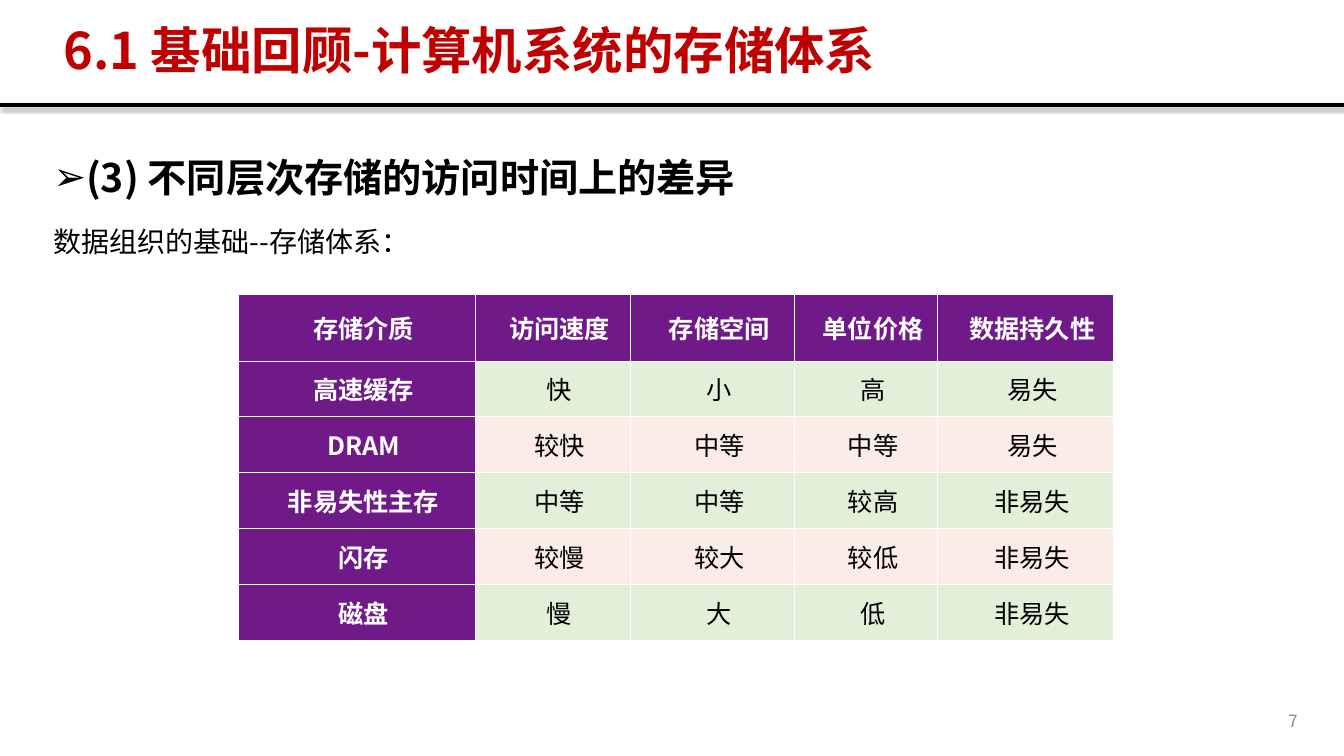
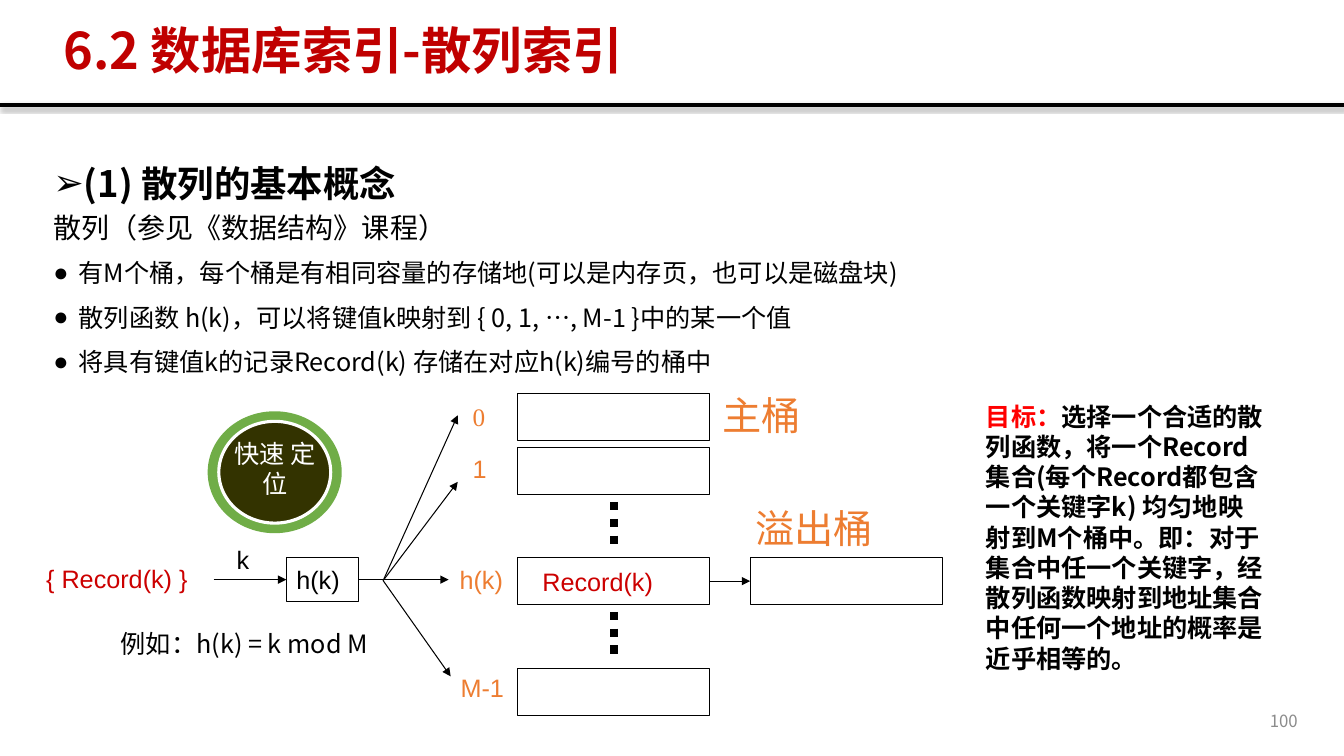
from dataclasses import dataclass

from pptx import Presentation
from pptx import util as u
from pptx.dml.color import RGBColor
from pptx.enum import dml, shapes, text
from pptx.oxml import parse_xml
from pptx.oxml.ns import nsdecls, qn

SANS, ARIAL, TIMES = "Noto Sans CJK SC", "Arial", "Times New Roman"
BLACK, WHITE, GREY = "000000", "FFFFFF", "8C8C8C"
TITLE_RED, RECORD_RED, GOAL_RED = "C00000", "CC0000", "FF0000"
ORANGE, PURPLE, GREEN, DARK = "ED7D31", "701988", "70AD47", "333300"
BANDS = ["E2F0D9", "FCECE8"]
ALIGN = text.PP_ALIGN
MIDDLE, TOP = text.MSO_ANCHOR.MIDDLE, text.MSO_ANCHOR.TOP
CELL = 0.1  # inches per column or row of the layout grid


@dataclass
class Box:
    """A region; its contents are placed in grid columns and rows from its corner."""
    left: float
    top: float
    width: float
    height: float

    def point(self, col, row):
        return u.Inches(self.left + col * CELL), u.Inches(self.top + row * CELL)

    def area(self, col, row, cols, rows):
        return Box(self.left + col * CELL, self.top + row * CELL,
                   cols * CELL, rows * CELL)

    def inset(self, x, y):
        return Box(self.left + x, self.top + y,
                   self.width - 2 * x, self.height - 2 * y)

    def emu(self):
        return [u.Inches(v) for v in (self.left, self.top, self.width, self.height)]


SLIDE = Box(0, 0, 13.33, 7.5)
TITLE = Box(0.53, 0.2, 11.7, 0.65)
BODY = Box(0.43, 1.33, 12.53, 5.42)
NUMBER = Box(9.97, 6.95, 3, 0.4)
RULE_TOP = 1.04


def rgb(hex_code):
    return RGBColor.from_string(hex_code)


def xml(tag, inner="", **attrs):
    listed = "".join(f' {name}="{value}"' for name, value in attrs.items())
    return parse_xml(f"<a:{tag} {nsdecls('a')}{listed}>{inner}</a:{tag}>")


# ---- Text ----

def write(paragraph, words, size, color=BLACK, face=SANS, bold=False,
          align=None, spacing=None, before=0, bullet=None, indent=0):
    """Fill a paragraph; words is a string or a list of (string, colour)."""
    props = paragraph._p.get_or_add_pPr()
    hang = u.Inches(0.25) if bullet else 0
    props.set("marL", str(hang))
    props.set("indent", str(-hang if bullet else u.Inches(indent)))
    paragraph.alignment = align or ALIGN.LEFT
    paragraph.space_before = u.Pt(before)
    if spacing:
        paragraph.line_spacing = spacing
    props.append(xml("buChar", char=bullet) if bullet else xml("buNone"))
    font = paragraph.font
    font.size, font.bold, font.name = u.Pt(size), bold, face
    props.find(qn("a:defRPr")).append(xml("ea", typeface=SANS))
    for string, shade in [(words, color)] if isinstance(words, str) else words:
        run = paragraph.add_run()
        run.text = string
        run.font.color.rgb = rgb(shade)


def prepare(frame, anchor=TOP):
    frame.word_wrap = True
    frame.auto_size = text.MSO_AUTO_SIZE.NONE
    frame.vertical_anchor = anchor
    return frame


def label(slide, box, words, size=18, anchor=TOP, **style):
    frame = prepare(slide.shapes.add_textbox(*box.emu()).text_frame, anchor)
    write(frame.paragraphs[0], words, size, **style)


# ---- Shapes and lines ----

def shape(slide, kind, box, fill=None, line=None, width=0.75):
    item = slide.shapes.add_shape(kind, *box.emu())
    item.shadow.inherit = False
    for paint, color in ((item.fill, fill), (item.line.fill, line)):
        if color:
            paint.solid()
            paint.fore_color.rgb = rgb(color)
        else:
            paint.background()
    if line:
        item.line.width = u.Pt(width)
    return item


def cell_box(slide, box):
    return shape(slide, shapes.MSO_SHAPE.RECTANGLE, box, line=BLACK)


def connect(slide, start, end, width=0.75, arrow=True, shadow=""):
    line = slide.shapes.add_connector(shapes.MSO_CONNECTOR.STRAIGHT, *start, *end)
    line.line.color.rgb = rgb(BLACK)
    line.line.width = u.Pt(width)
    props = line.element.spPr
    if arrow:
        props.find(qn("a:ln")).append(xml("tailEnd", type="triangle"))
    props.append(xml("effectLst", shadow))
    return line


# ---- Shared frame ----

def style_layout(layout, slide):
    """Place the template's placeholders and give the layout its rule."""
    for holder, box in zip(layout.placeholders, (TITLE, BODY)):
        holder.left, holder.top, holder.width, holder.height = box.emu()
    shadow = ('<a:outerShdw blurRad="39370" dist="22860" dir="5400000" rotWithShape="0">'
              '<a:srgbClr val="000000"><a:alpha val="35000"/></a:srgbClr></a:outerShdw>')
    y = u.Inches(RULE_TOP)
    rule = connect(slide, (0, y), (u.Inches(SLIDE.width), y), 3, False, shadow)
    layout.shapes.element.append(rule.element)


def frame_slide(slide, title, number, paragraphs):
    heading = prepare(slide.shapes.title.text_frame, MIDDLE)
    write(heading.paragraphs[0], title, 36, TITLE_RED, bold=True, spacing=0.9)
    body = prepare(slide.placeholders[1].text_frame)
    for i, (words, style) in enumerate(paragraphs):
        paragraph = body.add_paragraph() if i else body.paragraphs[0]
        write(paragraph, words, **style)
    label(slide, NUMBER, number, 12, MIDDLE, color=GREY, align=ALIGN.RIGHT)


def section(size, spacing):
    return dict(size=size, bold=True, align=ALIGN.JUSTIFY, spacing=spacing, bullet="➢")


# ---- Slide 1: storage levels ----

def storage_table(slide, box, rows, widths, header_height):
    grid = slide.shapes.add_table(len(rows), len(widths), *box.emu()).table
    grid.first_col, grid.horz_banding = True, False
    for column, width in zip(grid.columns, widths):
        column.width = u.Inches(width)
    row_height = (box.height - header_height) / (len(rows) - 1)
    white = f'<a:solidFill><a:srgbClr val="{WHITE}"/></a:solidFill>'
    for r, row in enumerate(rows):
        grid.rows[r].height = u.Inches(row_height if r else header_height)
        for c, words in enumerate(row):
            cell = grid.cell(r, c)
            cell.margin_left = cell.margin_right = u.Inches(0.05)
            cell.margin_top = cell.margin_bottom = 0
            cell.vertical_anchor = MIDDLE
            for side in "LRTB":
                cell._tc.get_or_add_tcPr().append(xml(f"ln{side}", white, w=u.Pt(0.5)))
            head = r == 0 or c == 0
            cell.fill.solid()
            cell.fill.fore_color.rgb = rgb(PURPLE if head else BANDS[(r - 1) % 2])
            write(cell.text_frame.paragraphs[0], words, 18, WHITE if head else BLACK,
                  bold=head, align=ALIGN.CENTER, indent=0.14)


def storage_slide(slide):
    frame_slide(slide, "6.1 基础回顾-计算机系统的存储体系", "7", [
        ("(3) 不同层次存储的访问时间上的差异", section(28, 1.3)),
        ("数据组织的基础--存储体系：", dict(size=20, spacing=1.3, before=10)),
    ])
    storage_table(slide, Box(2.36, 2.92, 8.68, 3.43), [
        ["存储介质", "访问速度", "存储空间", "单位价格", "数据持久性"],
        ["高速缓存", "快", "小", "高", "易失"],
        ["DRAM", "较快", "中等", "中等", "易失"],
        ["非易失性主存", "中等", "中等", "较高", "非易失"],
        ["闪存", "较慢", "较大", "较低", "非易失"],
        ["磁盘", "慢", "大", "低", "非易失"],
    ], [2.35, 1.54, 1.63, 1.42, 1.74], 0.66)


# ---- Slide 2: hashing ----

def hash_diagram(slide, box):
    # Buckets with their numbers
    buckets = {}
    for key, face, col, row, bucket_row in (
            ("0", TIMES, 42.9, 1.3, 1), ("1", ARIAL, 42.9, 6.5, 6.4),
            ("h(k)", ARIAL, 41.6, 17.5, 17.3), ("M-1", ARIAL, 41.7, 28.2, 28.3)):
        buckets[key] = cell_box(slide, box.area(48.3, bucket_row, 19.1, 4.7))
        label(slide, box.area(col, row, 7, 4.3), key, color=ORANGE, face=face)
    for first, last in ((11.8, 16.6), (22.7, 27.5)):
        dots = connect(slide, box.point(57.9, first), box.point(57.9, last), 6, False)
        dots.line.dash_style = dml.MSO_LINE.ROUND_DOT
    record = prepare(buckets["h(k)"].text_frame, MIDDLE)
    record.margin_left = u.Inches(0.25)
    write(record.paragraphs[0], "Record(k)", 18, RECORD_RED, ARIAL)

    # Overflow bucket
    overflow = cell_box(slide, box.area(71.4, 17.3, 19.1, 4.7))
    chain = connect(slide, box.point(67.4, 19.65), box.point(71.4, 19.65))
    chain.begin_connect(buckets["h(k)"], 3)
    chain.end_connect(overflow, 1)

    # Hash function, its input and its fan of arrows
    function = cell_box(slide, box.area(25.4, 17.3, 7.2, 4.4))
    write(prepare(function.text_frame, MIDDLE).paragraphs[0], "h(k)", 18, face=ARIAL)
    connect(slide, box.point(18.2, 19.5), box.point(25.4, 19.5)).end_connect(function, 1)
    connect(slide, box.point(32.6, 19.5), box.point(41.5, 19.5)).begin_connect(function, 3)
    for target in ((42.4, 3.2), (42.4, 9.8), (41.7, 29.1)):
        connect(slide, box.point(35, 19.6), box.point(*target))

    # Captions
    label(slide, box.area(0.6, 17.4, 19.4, 4.3), "{ Record(k) }",
          color=RECORD_RED, face=ARIAL)
    label(slide, box.area(19.5, 15.5, 4, 4.3), "k", face=ARIAL)
    label(slide, box.area(67.7, 0.3, 12, 5.7), "主桶", 28, color=ORANGE, face=TIMES)
    label(slide, box.area(70.9, 11.5, 16, 5.7), "溢出桶", 28, color=ORANGE, face=TIMES)
    label(slide, box.area(8, 23.8, 29.3, 4), "例如：h(k) = k mod M")


def badge(slide, box, words):
    ring = shape(slide, shapes.MSO_SHAPE.DONUT, box, fill=GREEN)
    ring.adjustments[0] = 0.09
    shape(slide, shapes.MSO_SHAPE.OVAL, box.inset(0.11, 0.1), DARK, WHITE, 2.25)
    label(slide, box.inset(0.12, 0.22), words, color=WHITE, face=ARIAL,
          align=ALIGN.CENTER)


def hash_slide(slide):
    point = dict(size=18, before=10, bullet="●")
    frame_slide(slide, "6.2 数据库索引-散列索引", "100", [
        ("(1) 散列的基本概念", section(26, 1.5)),
        ("散列（参见《数据结构》课程）", dict(size=20, before=4)),
        ("有M个桶，每个桶是有相同容量的存储地(可以是内存页，也可以是磁盘块)", point),
        ("散列函数 h(k)，可以将键值k映射到 { 0, 1, …, M-1 }中的某一个值", point),
        ("将具有键值k的记录Record(k) 存储在对应h(k)编号的桶中", point),
    ])
    hash_diagram(slide, Box(0.3, 3.8, 9.1, 3.3))
    badge(slide, Box(2.06, 4.08, 1.33, 1.21), "快速 定位")
    label(slide, Box(9.68, 3.93, 2.96, 2.83), [
        ("目标：", GOAL_RED),
        ("选择一个合适的散列函数，将一个Record集合(每个Record都包含一个关键字k) "
         "均匀地映射到M个桶中。即：对于集合中任一个关键字，"
         "经散列函数映射到地址集合中任何一个地址的概率是近乎相等的。", BLACK),
    ], bold=True)


def main():
    deck = Presentation()
    deck.slide_width, deck.slide_height = SLIDE.emu()[2:]
    layout = deck.slide_layouts[1]
    storage, hashing = (deck.slides.add_slide(layout) for _ in range(2))
    style_layout(layout, storage)
    storage_slide(storage)
    hash_slide(hashing)
    deck.save("out.pptx")


if __name__ == "__main__":
    main()
